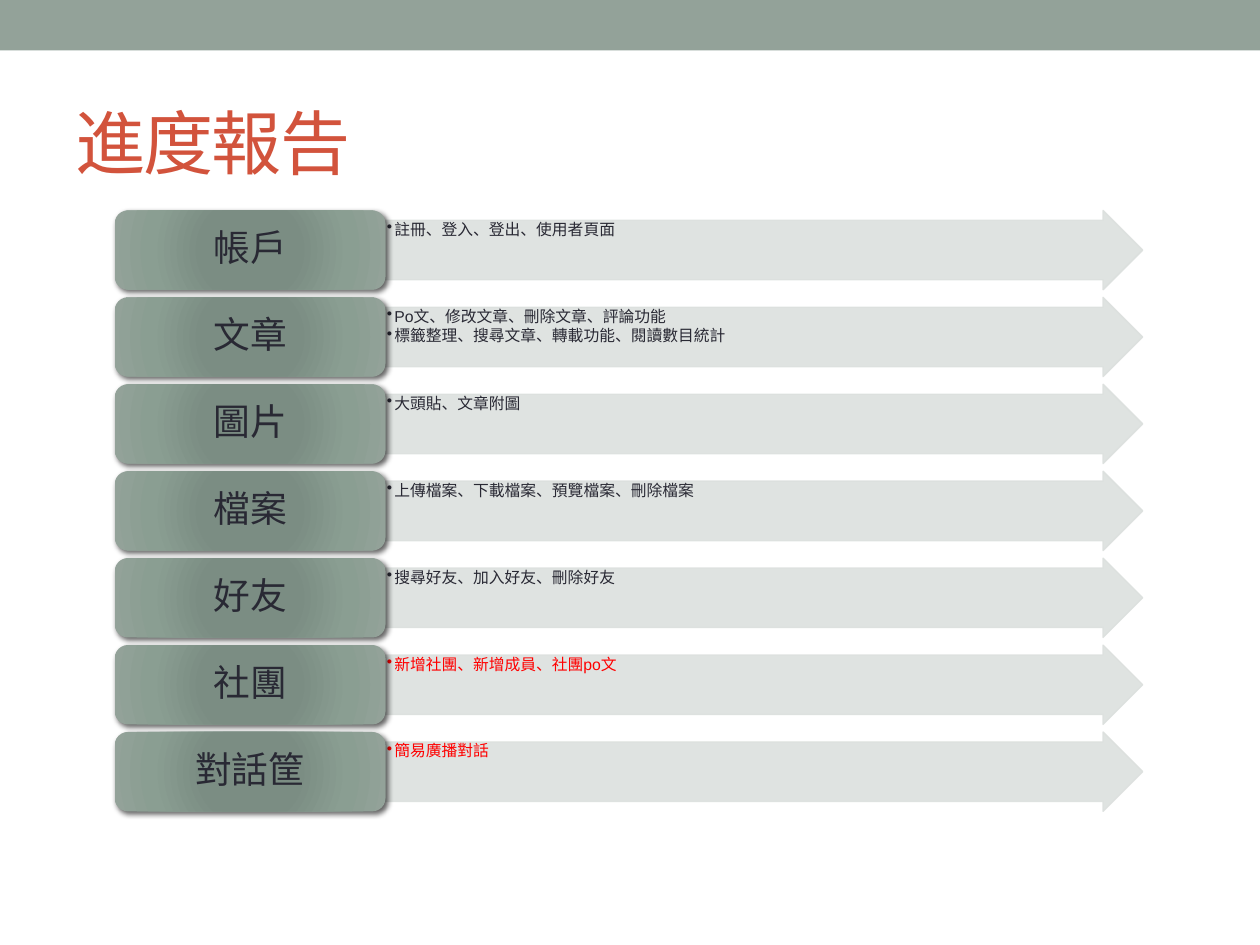
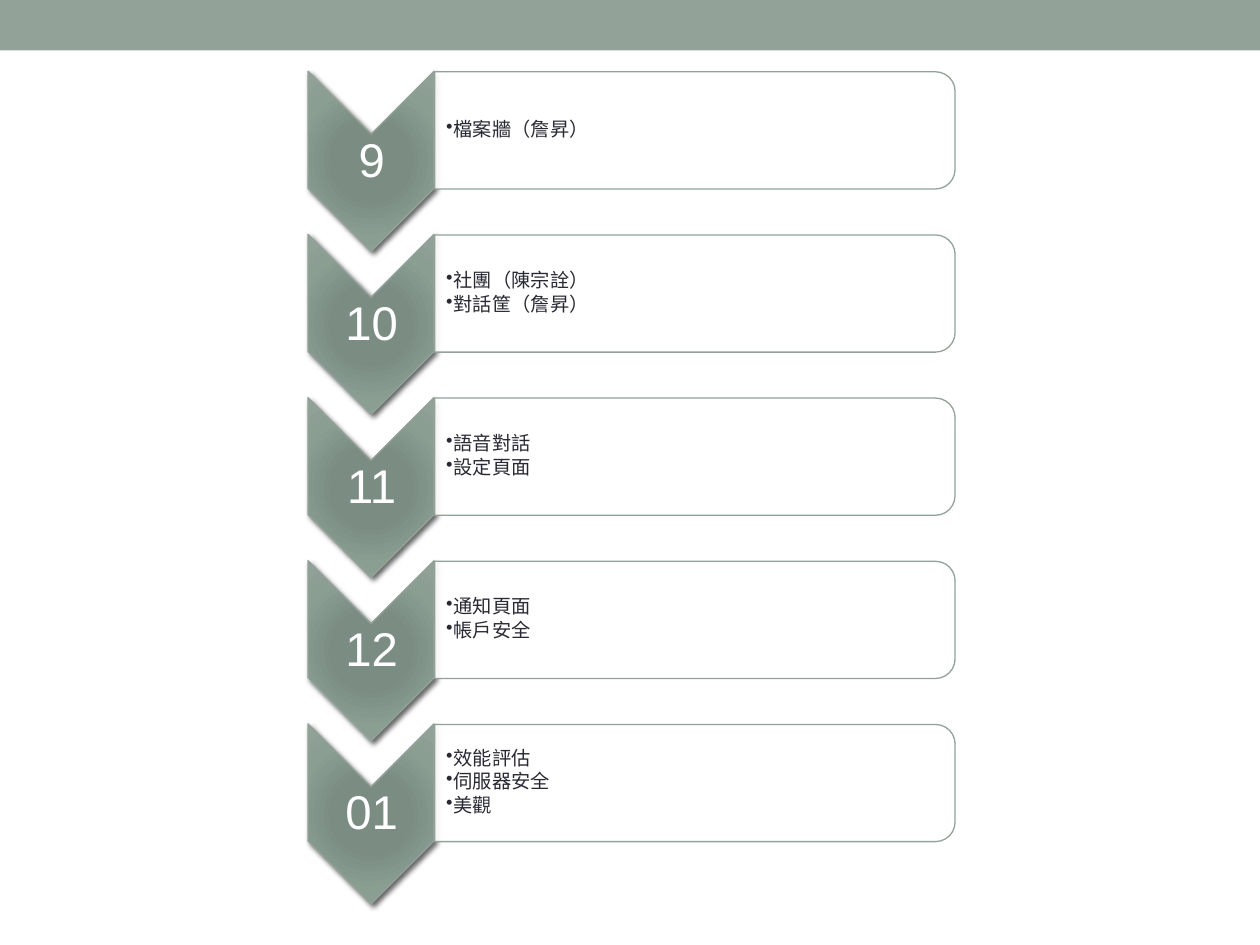
from lxml import etree
from pptx import Presentation
from pptx.dml.color import RGBColor
from pptx.enum import shapes, text
from pptx.oxml import ns
from pptx.util import Inches, Pt

SHAPE, ALIGN, ANCHOR = shapes.MSO_SHAPE, text.PP_ALIGN, text.MSO_ANCHOR
SAGE, PALE, INK, RUST = "93A299", "DCE0DE", "292934", "D2533C"
RED, WHITE = "FF0000", "FFFFFF"
GRADIENT = [(0, "7B8E82"), (34, "7B8D83"), (70, "8A9E92"), (100, SAGE)]
SHADOW = {"blurRad": Pt(3), "dist": Pt(2), "dir": 45 * 60000}


def rgb(value):
    """Turn a hex string into a colour."""
    return RGBColor.from_string(value)


def add_xml(parent, tag, **attrs):
    """Append one drawing element and return it."""
    return etree.SubElement(parent, ns.qn("a:" + tag),
                            {k: str(v) for k, v in attrs.items()})


def set_all(obj, values):
    """Set several attributes on one object."""
    for name, value in values.items():
        setattr(obj, name, value)


class Deck:
    """Holds the shared style and the slide being filled."""

    font = "Arial"

    def __init__(self):
        self.prs = Presentation()
        self.prs.slide_width, self.prs.slide_height = Inches(10), Inches(7.5)
        self.s = None

    def new_slide(self, layout):
        """Start a slide from a template layout."""
        self.s = self.prs.slides.add_slide(self.prs.slide_layouts[layout])

    def master_band(self):
        """Put the top band on the master, behind everything."""
        sp = self.shape(SHAPE.RECTANGLE, (0, 0, 10, 0.4), SAGE)
        sp.element.nvSpPr.cNvPr.set("id", "99")
        self.prs.slide_master.shapes.element.insert(2, sp.element)

    def place(self, sp, box):
        """Move a shape to left, top, width, height in inches."""
        names = ("left", "top", "width", "height")
        set_all(sp, dict(zip(names, map(Inches, box))))

    def format_run(self, p, words, size, color):
        """Add one formatted run to a paragraph."""
        r = p.add_run()
        r.text = words
        set_all(r.font, {"name": self.font, "size": Pt(size)})
        r.font.color.rgb = rgb(color)
        return r

    def title(self, words):
        """Fill the title placeholder."""
        sp = self.s.shapes.title
        self.place(sp, (0.5, 0.58, 9, 1.08))
        sp.text_frame.vertical_anchor = ANCHOR.MIDDLE
        p = sp.text_frame.paragraphs[0]
        p.alignment = ALIGN.LEFT
        r = self.format_run(p, words, 40, RUST)
        r.font.element.set("spc", "-100") if hasattr(r.font, "element") else \
            r._r.get_or_add_rPr().set("spc", "-100")

    def shape(self, kind, box, fill=None, line=None, alpha=None, turn=0, adj=()):
        """Draw a preset shape without shadow."""
        sp = self.s.shapes.add_shape(kind, *map(Inches, box))
        sp.shadow.inherit = False
        sp.rotation = turn
        for i, value in enumerate(adj):
            sp.adjustments[i] = value
        if fill:
            sp.fill.solid()
            sp.fill.fore_color.rgb = rgb(fill)
        if line:
            sp.line.color.rgb = rgb(line)
            sp.line.width = Pt(0.75)
        else:
            sp.line.fill.background()
        if alpha:
            for clr in sp.element.spPr.iter(ns.qn("a:srgbClr")):
                if clr.get("val") == fill:
                    add_xml(clr, "alpha", val=alpha * 1000)
        return sp

    def raised(self, kind, box, **style):
        """Draw a shape with the radial gradient and soft shadow."""
        spPr = self.shape(kind, box, **style).element.spPr
        grad = add_xml(spPr, "gradFill", rotWithShape=1)
        stops = add_xml(grad, "gsLst")
        for pos, color in GRADIENT:
            add_xml(add_xml(stops, "gs", pos=pos * 1000), "srgbClr", val=color)
        circle = add_xml(grad, "path", path="circle")
        add_xml(circle, "fillToRect", **dict.fromkeys("ltrb", 100000))
        spPr.find(ns.qn("a:prstGeom")).addnext(grad)
        outer = add_xml(spPr.find(ns.qn("a:effectLst")), "outerShdw",
                        algn="ctr", rotWithShape=0, **SHADOW)
        add_xml(add_xml(outer, "srgbClr", val="000000"), "alpha", val=60000)

    def text_box(self, box, lines, size, color, insets, anchor, after):
        """Add wrapped text and return its paragraphs."""
        tf = self.s.shapes.add_textbox(*map(Inches, box)).text_frame
        names = ("margin_left", "margin_top", "margin_right", "margin_bottom")
        set_all(tf, dict(zip(names, map(Inches, insets))))
        set_all(tf, {"word_wrap": True, "vertical_anchor": anchor})
        for i, words in enumerate(lines):
            p = tf.add_paragraph() if i else tf.paragraphs[0]
            set_all(p, {"line_spacing": 0.9, "space_after": Pt(size * after)})
            self.format_run(p, words, size, color)
        return tf.paragraphs

    def label(self, box, words, size, color, insets):
        """Add a centred label."""
        for p in self.text_box(box, [words], size, color, insets,
                               ANCHOR.MIDDLE, 0.35):
            p.alignment = ALIGN.CENTER

    def bullets(self, box, lines, size, color, left=0.01, anchor=ANCHOR.TOP):
        """Add a bulleted list."""
        insets = (left, 0.01, 0.01, 0.01)
        for p in self.text_box(box, lines, size, color, insets, anchor, 0.15):
            p.level = 1
            pPr = p._p.get_or_add_pPr()
            pPr.set("marL", str(Inches(0.06)))
            pPr.set("indent", str(-Inches(0.06)))
            add_xml(pPr, "buChar", char="•")

    def feature_row(self, top, name, lines, color):
        """Draw one feature: an arrow with details and a raised label."""
        self.shape(SHAPE.RIGHT_ARROW, (3.06, top, 6.01, 0.63), PALE, PALE,
                   alpha=90, adj=(0.75, 0.5))
        self.bullets((3.06, top + 0.08, 5.78, 0.47), lines, 9, color)
        self.raised(SHAPE.ROUNDED_RECTANGLE, (0.91, top, 2.15, 0.63))
        self.label((0.94, top + 0.03, 2.09, 0.57), name, 21, INK,
                   (0.09, 0.04, 0.09, 0.04))

    def month_row(self, top, month, lines):
        """Draw one month: a chevron pointing down and its task panel."""
        self.raised(SHAPE.CHEVRON, (2.23, top, 1.43, 1), line=SAGE, turn=90)
        self.label((2.45, top + 0.29, 1, 0.43), month, 27, WHITE, (0.02,) * 4)
        self.shape(SHAPE.ROUND_2_SAME_RECTANGLE, (5.05, top - 1.81, 0.93, 4.13),
                   WHITE, SAGE, alpha=90, turn=90)
        self.bullets((3.45, top - 0.17, 4.08, 0.84), lines, 11, INK, 0.09,
                     ANCHOR.MIDDLE)


FEATURES = [
    ("帳戶", ["註冊、登入、登出、使用者頁面"], INK),
    ("文章", ["Po文、修改文章、刪除文章、評論功能",
            "標籤整理、搜尋文章、轉載功能、閱讀數目統計"], INK),
    ("圖片", ["大頭貼、文章附圖"], INK),
    ("檔案", ["上傳檔案、下載檔案、預覽檔案、刪除檔案"], INK),
    ("好友", ["搜尋好友、加入好友、刪除好友"], INK),
    ("社團", ["新增社團、新增成員、社團po文"], RED),
    ("對話筐", ["簡易廣播對話"], RED),
]
MONTHS = [
    ("9", ["檔案牆（詹昇）"]),
    ("10", ["社團（陳宗詮）", "對話筐（詹昇）"]),
    ("11", ["語音對話", "設定頁面"]),
    ("12", ["通知頁面", "帳戶安全"]),
    ("01", ["效能評估", "伺服器安全", "美觀"]),
]

deck = Deck()
deck.new_slide(5)
deck.master_band()
deck.title("進度報告")
for i, (name, lines, color) in enumerate(FEATURES):
    deck.feature_row(1.67 + 0.69 * i, name, lines, color)

deck.new_slide(6)
month_step = 5.18 / (len(MONTHS) - 1)
for i, (month, lines) in enumerate(MONTHS):
    deck.month_row(0.78 + month_step * i, month, lines)

deck.prs.save("out.pptx")
